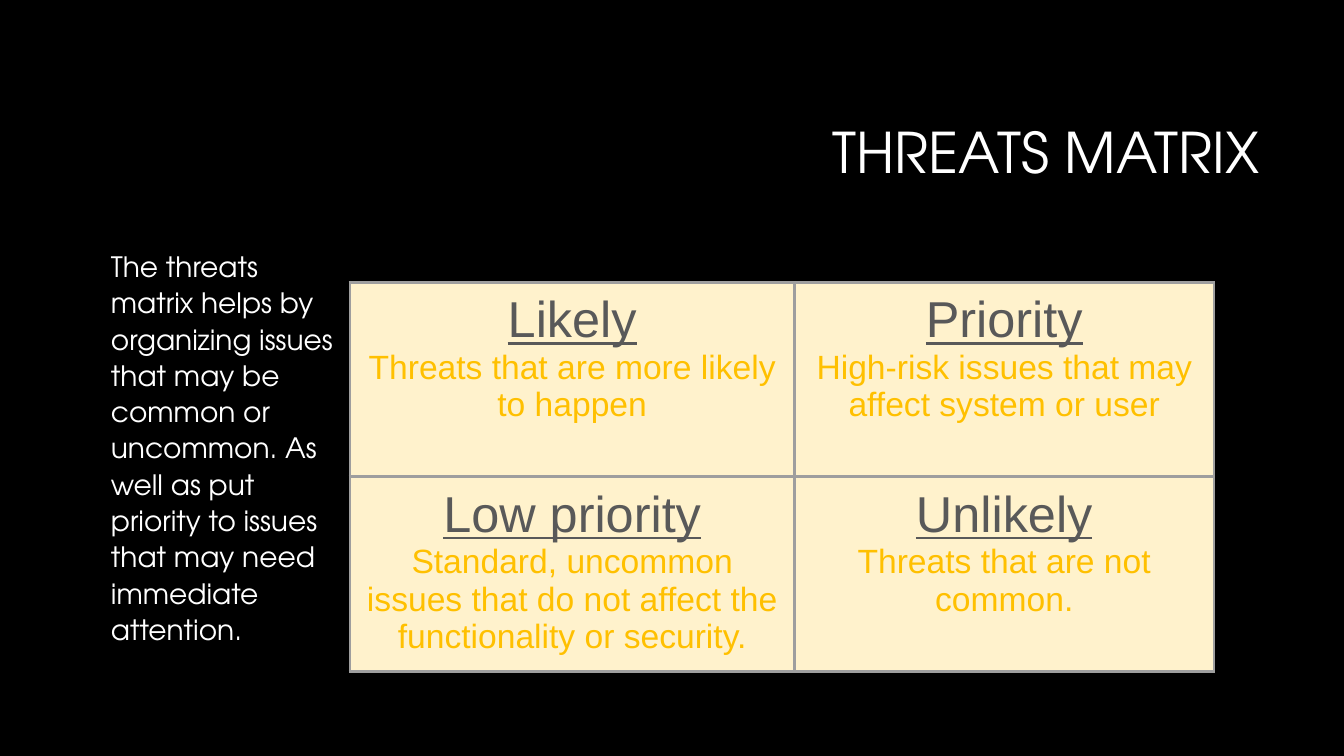
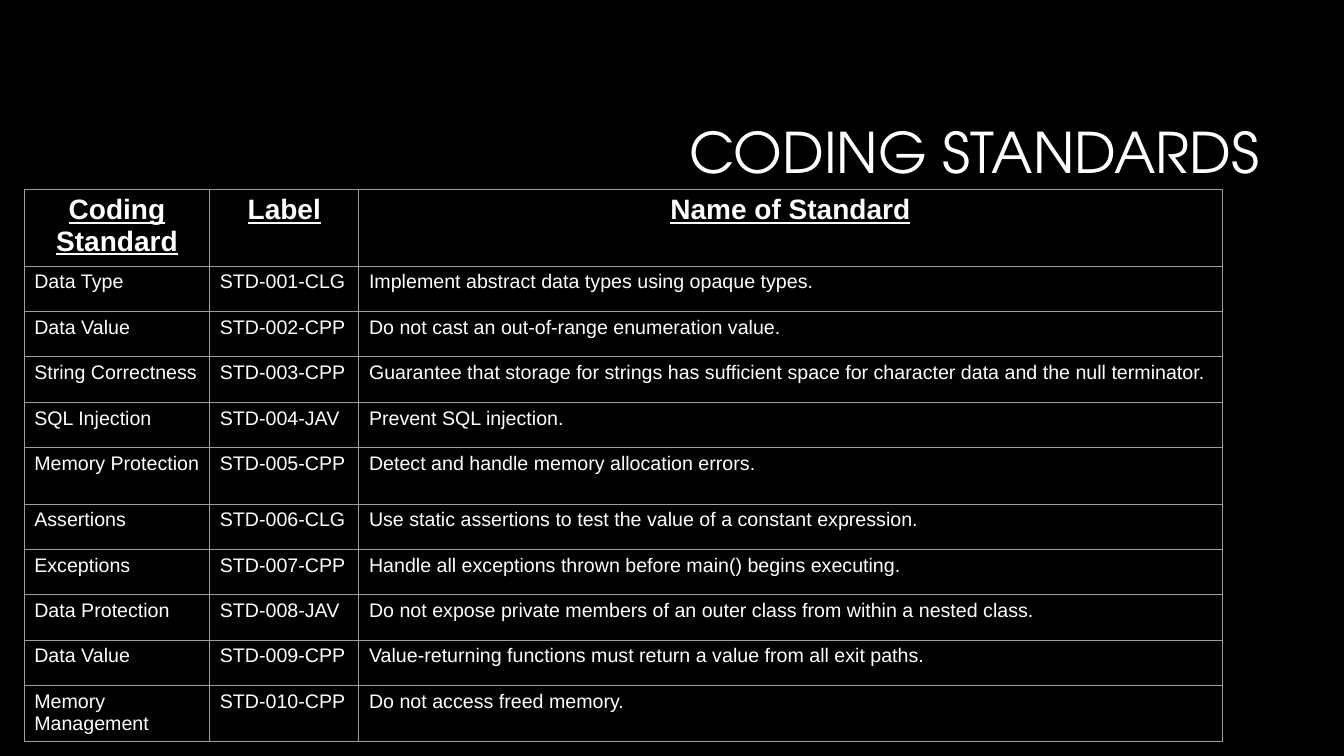
import lxml.etree
import pptx
import pptx.dml.color
import pptx.enum.text
import pptx.oxml
import pptx.oxml.ns
import pptx.util

PX = 9144
WHITE, BLACK, GREY = "FFFFFF", "000000", "9E9E9E"
CREAM, GOLD, SLATE = "FFF2CC", "FFC000", "595959"
DISPLAY, PLAIN = "TeX Gyre Adventor", "Arial"
ALIGN = pptx.enum.text.PP_ALIGN

THREATS = [
    [("Likely", "Threats that are more likely to happen"),
     ("Priority", "High-risk issues that may affect system or user")],
    [("Low priority", "Standard, uncommon issues that do not affect the functionality or security."),
     ("Unlikely", "Threats that are not common.")],
]
HEADINGS = ("Coding Standard", "Label", "Name of Standard")
STANDARDS = [
    ("Data Type", "STD-001-CLG", "Implement abstract data types using opaque types."),
    ("Data Value", "STD-002-CPP", "Do not cast an out-of-range enumeration value."),
    ("String Correctness", "STD-003-CPP",
     "Guarantee that storage for strings has sufficient space for character data and the null terminator."),
    ("SQL Injection", "STD-004-JAV", "Prevent SQL injection."),
    ("Memory Protection", "STD-005-CPP", "Detect and handle memory allocation errors."),
    ("Assertions", "STD-006-CLG", "Use static assertions to test the value of a constant expression."),
    ("Exceptions", "STD-007-CPP", "Handle all exceptions thrown before main() begins executing."),
    ("Data Protection", "STD-008-JAV",
     "Do not expose private members of an outer class from within a nested class."),
    ("Data Value", "STD-009-CPP", "Value-returning functions must return a value from all exit paths."),
    ("Memory Management", "STD-010-CPP", "Do not access freed memory."),
]


def px(length):
    return pptx.util.Emu(length * PX)


def paint(target, color):
    target.rgb = pptx.dml.color.RGBColor.from_string(color)


def write(paragraph, text, size=14, font=PLAIN, color=WHITE, bold=False,
          underline=False, align=ALIGN.LEFT, spacing=1.0):
    paragraph.alignment = align
    paragraph.line_spacing = spacing
    paragraph.space_before = pptx.util.Pt(0)
    span = paragraph.add_run()
    span.text = text
    span.font.size = pptx.util.Pt(size)
    span.font.name = font
    span.font.bold = bold
    span.font.underline = underline
    paint(span.font.color, color)


class Deck:
    """Hold the shared style and the current slide."""

    def __init__(self):
        self.deck = pptx.Presentation()
        self.deck.slide_width, self.deck.slide_height = px(1333), px(750)
        background = self.deck.slide_master.background.fill
        background.solid()
        paint(background.fore_color, BLACK)

    def add_page(self, title, layout):
        self.page = self.deck.slides.add_slide(self.deck.slide_layouts.get_by_name(layout))
        frame = self.place(self.page.shapes.title, 317, 84, 942, 141)
        frame.vertical_anchor = pptx.enum.text.MSO_ANCHOR.MIDDLE
        write(frame.paragraphs[0], title, size=40, font=DISPLAY, align=ALIGN.RIGHT, spacing=0.9)

    def place(self, box, left, top, width, height):
        box.left, box.top, box.width, box.height = map(px, (left, top, width, height))
        box.text_frame.word_wrap = True
        box.text_frame.auto_size = pptx.enum.text.MSO_AUTO_SIZE.NONE
        return box.text_frame

    def add_body(self, text, left, top, width, height):
        frame = self.place(self.page.placeholders[1], left, top, width, height)
        paragraph = frame.paragraphs[0]
        properties = paragraph._p.get_or_add_pPr()
        properties.set("marL", str(px(25)))
        properties.set("indent", "0")
        lxml.etree.SubElement(properties, pptx.oxml.ns.qn("a:buNone"))
        write(paragraph, text, size=20, font=DISPLAY, spacing=1.08)

    def add_table(self, rows, left, top, widths, heights, border, fill=None, inset=5):
        table = self.page.shapes.add_table(
            len(rows), len(widths), px(left), px(top), px(sum(widths)), px(sum(heights))).table
        table.first_row = table.horz_banding = False
        for column, width in zip(table.columns, widths):
            column.width = px(width)
        for row, height, contents in zip(table.rows, heights, rows):
            row.height = px(height)
            for cell, lines in zip(row.cells, contents):
                self.style_cell(cell, border, fill, inset)
                for number, (text, style) in enumerate(lines):
                    frame = cell.text_frame
                    paragraph = frame.add_paragraph() if number else frame.paragraphs[0]
                    write(paragraph, text, **style)

    def style_cell(self, cell, border, fill, inset):
        cell.margin_left = cell.margin_right = px(10)
        cell.margin_top = cell.margin_bottom = px(inset)
        properties = cell._tc.get_or_add_tcPr()
        for side in "LRTB":
            properties.append(pptx.oxml.parse_xml(
                f'<a:ln{side} {pptx.oxml.ns.nsdecls("a")} w="{pptx.util.Pt(border)}">'
                f'<a:solidFill><a:srgbClr val="{GREY}"/></a:solidFill></a:ln{side}>'))
        if fill:
            cell.fill.solid()
            paint(cell.fill.fore_color, fill)
        else:
            cell.fill.background()


def main():
    slides = Deck()

    slides.add_page("THREATS MATRIX", "Title and Content")
    slides.add_body(
        "The threats matrix helps by organizing issues that may be common or uncommon. "
        "As well as put priority to issues that may need immediate attention.", 75, 240, 272, 440)
    heading = dict(size=36, color=SLATE, underline=True, align=ALIGN.CENTER)
    detail = dict(size=24, color=GOLD, align=ALIGN.CENTER)
    matrix = [[[(name, heading), (text, detail)] for name, text in row] for row in THREATS]
    slides.add_table(matrix, 347, 280, [441, 416], [193] * 2, 2.25, CREAM, 10)

    slides.add_page("CODING STANDARDS", "Title Only")
    header = dict(size=20, bold=True, underline=True, align=ALIGN.CENTER)
    rows = [[[(text, header)] for text in HEADINGS]]
    rows += [[[(text, {})] for text in row] for row in STANDARDS]
    heights = [76] + [56 if row[0].startswith("Memory") else 45 for row in STANDARDS]
    slides.add_table(rows, 24, 188, [184, 148, 856], heights, 0.75)

    slides.deck.save("out.pptx")


if __name__ == "__main__":
    main()
